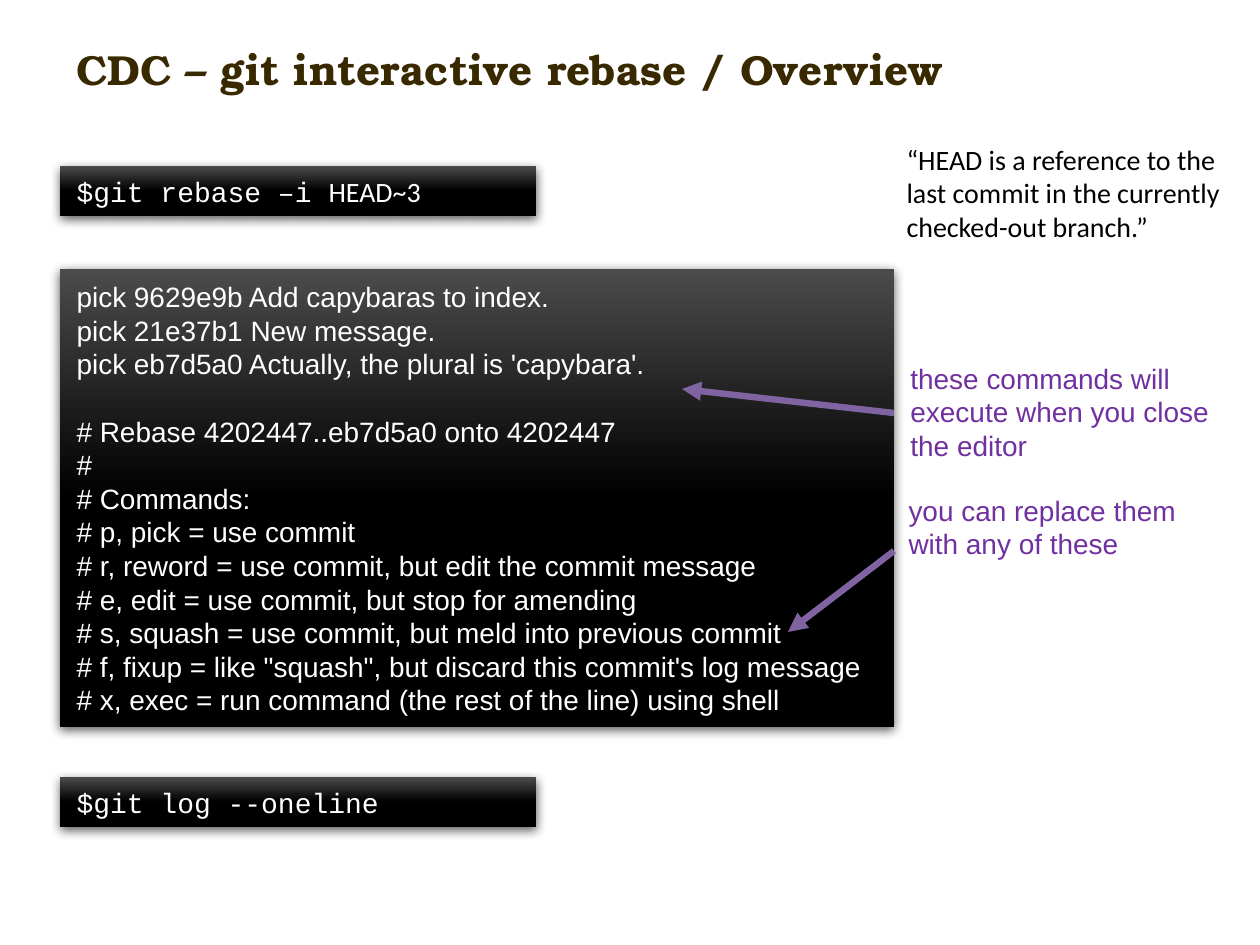
import copy
import lxml.etree
import pptx
import pptx.dml.color
import pptx.enum.shapes
import pptx.enum.text
import pptx.oxml
import pptx.oxml.ns
import pptx.util

PX = 914400 / 168
LINE = 1.2
BLACK, WHITE, PURPLE = "000000", "FFFFFF", "7030A0"
TODO = [
    "pick 9629e9b Add capybaras to index.",
    "pick 21e37b1 New message.",
    "pick eb7d5a0 Actually, the plural is 'capybara'.",
]
HELP = [
    "# Rebase 4202447..eb7d5a0 onto 4202447",
    "#",
    "# Commands:",
    "# p, pick = use commit",
    "# r, reword = use commit, but edit the commit message",
    "# e, edit = use commit, but stop for amending",
    "# s, squash = use commit, but meld into previous commit",
    "# f, fixup = like \"squash\", but discard this commit's log message",
    "# x, exec = run command (the rest of the line) using shell",
]


def px(n):
    return round(n * PX)


def rgb(value):
    return pptx.dml.color.RGBColor.from_string(value)


def write(tf, lines, font, color, size=12, bold=False):
    tf.word_wrap = True
    for i, line in enumerate(lines):
        p = tf.paragraphs[0] if i == 0 else tf.add_paragraph()
        p.alignment = pptx.enum.text.PP_ALIGN.LEFT
        p.line_spacing = pptx.util.Pt(size * LINE)
        p.font.name = font
        p.font.size = pptx.util.Pt(size)
        p.font.bold = bold
        p.font.color.rgb = rgb(color)
        p.add_run().text = line


def label(s, box, lines, font, color, size=12, bold=False):
    sp = s.shapes.add_textbox(*map(px, box))
    write(sp.text_frame, lines, font, color, size, bold)


def add_shadow(sp):
    sp.shadow.inherit = False
    effects = sp._element.spPr.find(pptx.oxml.ns.qn("a:effectLst"))
    effects.append(pptx.oxml.parse_xml(
        f'<a:outerShdw {pptx.oxml.ns.nsdecls("a")} blurRad="57150" dist="19050" '
        'dir="5400000" algn="ctr" rotWithShape="0"><a:srgbClr val="000000">'
        '<a:alpha val="63000"/></a:srgbClr></a:outerShdw>'))


def terminal(s, box, lines, font):
    sp = s.shapes.add_shape(pptx.enum.shapes.MSO_SHAPE.RECTANGLE, *map(px, box))
    sp.line.fill.background()
    sp.fill.gradient()
    sp.fill.gradient_angle = 270
    for stop, color in zip(sp.fill.gradient_stops, ("4B4B4B", BLACK)):
        stop.color.rgb = rgb(color)
    stops = sp._element.spPr.find(".//" + pptx.oxml.ns.qn("a:gsLst"))
    middle = copy.deepcopy(stops[1])
    middle.set("pos", "50000")
    stops.insert(1, middle)
    add_shadow(sp)
    tf = sp.text_frame
    tf.vertical_anchor = pptx.enum.text.MSO_ANCHOR.MIDDLE
    write(tf, lines, font, WHITE)
    return tf


def arrow(s, x1, y1, x2, y2):
    line = s.shapes.add_connector(
        pptx.enum.shapes.MSO_CONNECTOR.STRAIGHT, *map(px, (x1, y1, x2, y2)))
    line.line.color.rgb = rgb("8064A2")
    line.line.width = pptx.util.Pt(2.75)
    ln = line.line._get_or_add_ln()
    lxml.etree.SubElement(ln, pptx.oxml.ns.qn("a:tailEnd"), type="triangle")
    lxml.etree.SubElement(line._element.spPr, pptx.oxml.ns.qn("a:effectLst"))


def commands(s, x, y, w, h):
    tf = terminal(s, (x, y, 476, 50), ["$git rebase –i "], "Courier New")
    r = tf.paragraphs[0].add_run()
    r.text = "HEAD~3"
    r.font.name = "Calibri"
    tf = terminal(s, (x, y + 103, w, 458), TODO + HELP, "Arial")
    tf.paragraphs[len(TODO)].space_before = pptx.util.Pt(12 * LINE)
    terminal(s, (x, y + h - 50, 476, 50), ["$git log --oneline"], "Courier New")


def notes(s, x, y, w):
    label(s, (x, y, w, 119),
          ["“HEAD is a reference to the last commit in the currently checked-out branch.”"],
          "Calibri", BLACK)
    label(s, (x + 4, y + 219, w + 8, 119),
          ["these commands will", "execute when you close", "the editor"], "Arial", PURPLE)
    label(s, (x + 2, y + 351, w - 46, 84),
          ["you can replace them", "with any of these"], "Arial", PURPLE)
    arrow(s, x + 4, y + 279, x - 208, y + 255)
    arrow(s, x + 4, y + 417, x - 102, y + 498)


def main():
    prs = pptx.Presentation()
    prs.slide_width, prs.slide_height = px(1260), px(945)
    s = prs.slides.add_slide(prs.slide_layouts[6])
    label(s, (60, 35, 1137, 67), ["CDC – git interactive rebase / Overview"],
          "TeX Gyre Bonum", "392900", 18, True)
    commands(s, 60, 166, 834, 661)
    notes(s, 890, 134, 358)
    prs.save("out.pptx")


if __name__ == "__main__":
    main()
